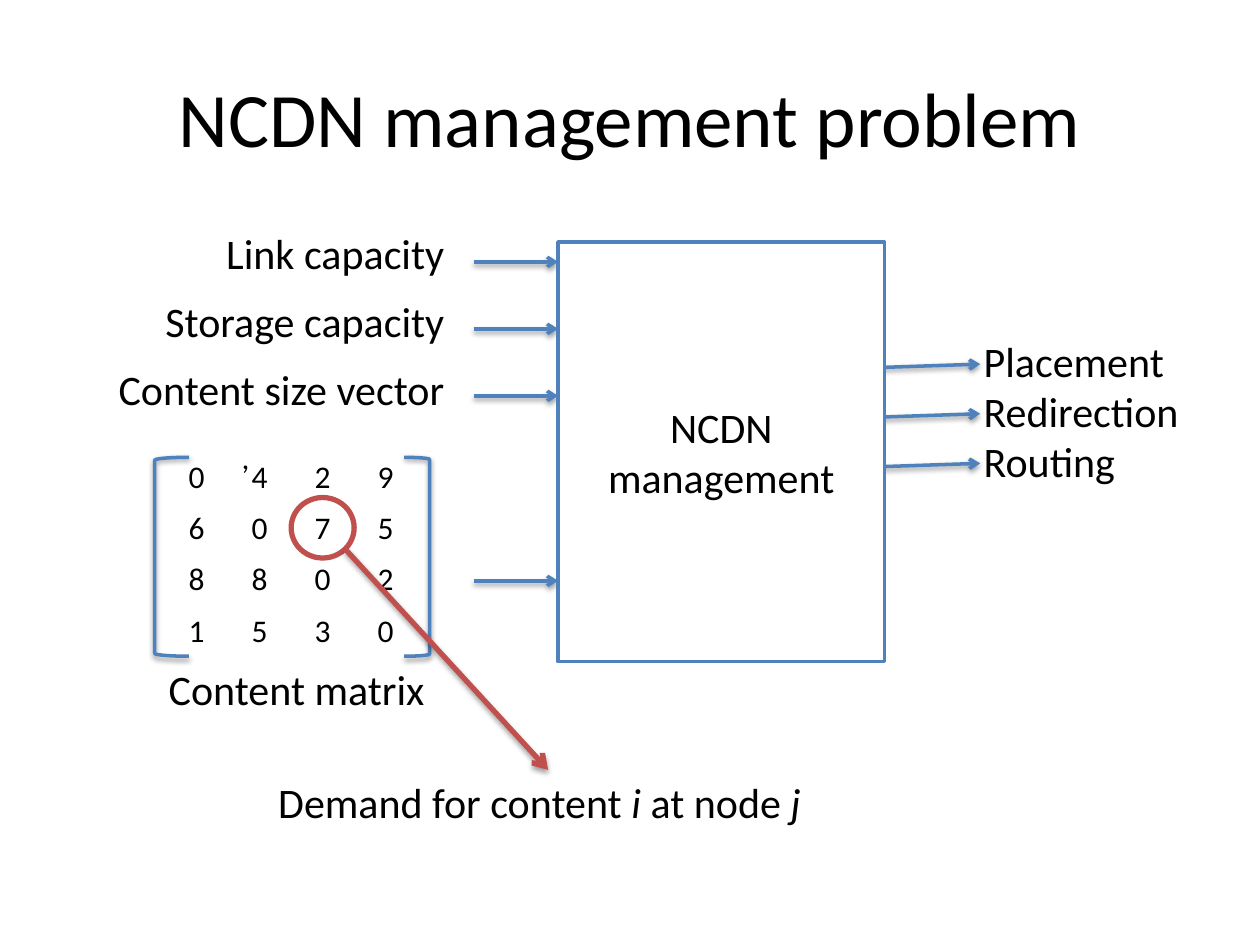
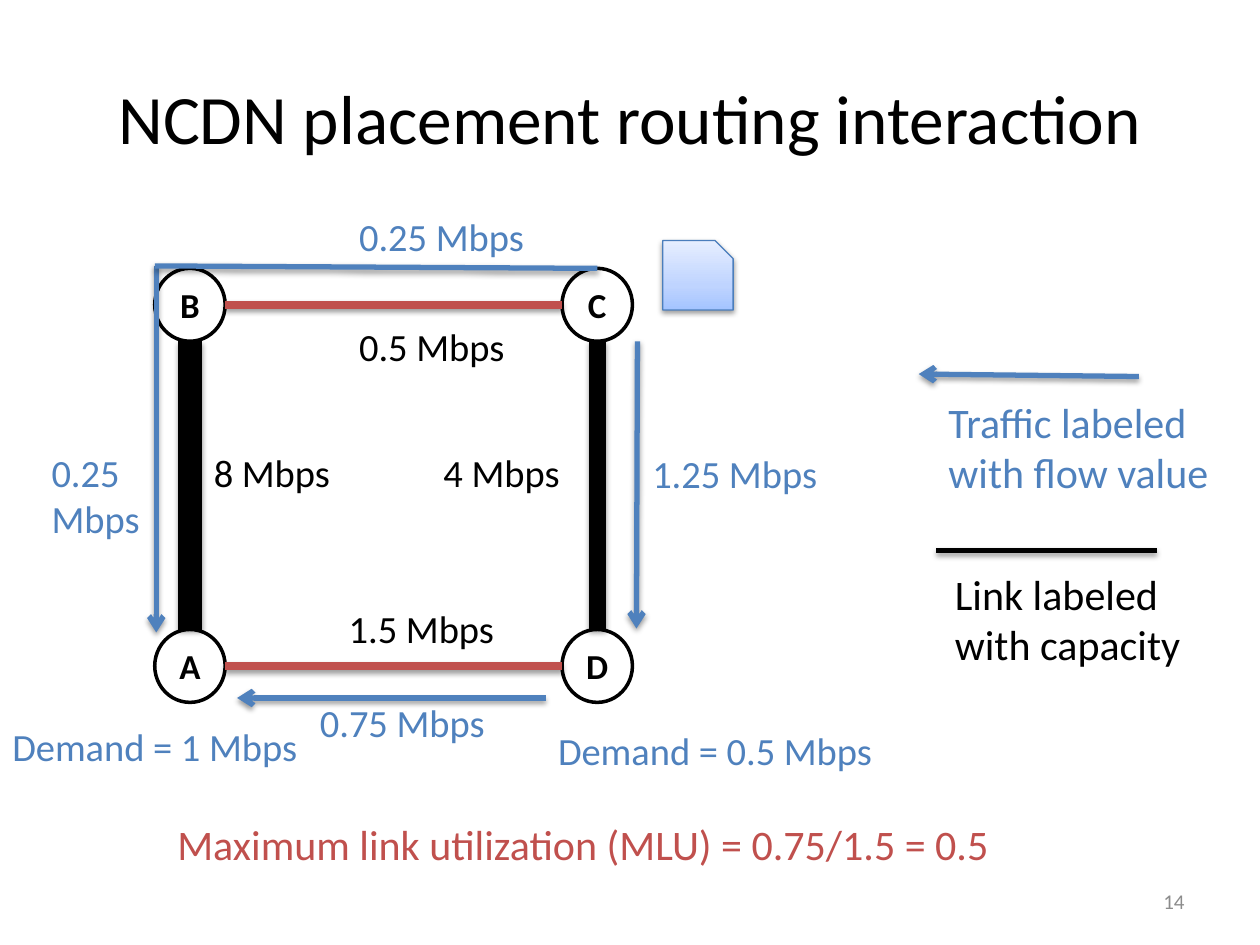
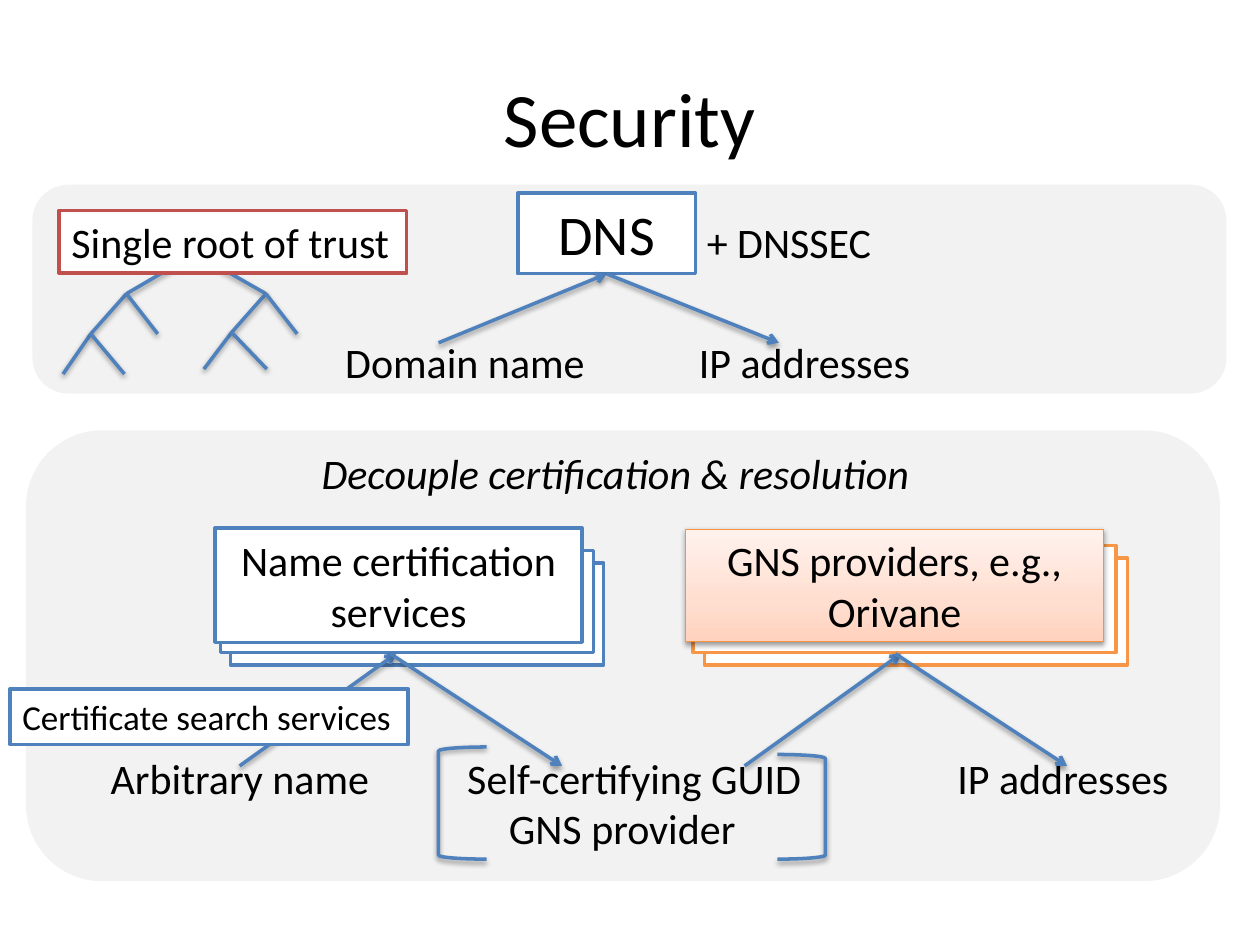
"""Build three slides on NCDN management, routing interaction and security."""
from copy import deepcopy

from lxml import etree
from pptx import Presentation
from pptx.dml.color import RGBColor
from pptx.enum.shapes import MSO_CONNECTOR, MSO_SHAPE
from pptx.enum.text import MSO_ANCHOR, PP_ALIGN
from pptx.oxml.ns import qn
from pptx.util import Cm, Pt

LEFT, CENTER, RIGHT = PP_ALIGN.LEFT, PP_ALIGN.CENTER, PP_ALIGN.RIGHT
TOP, MIDDLE = MSO_ANCHOR.TOP, MSO_ANCHOR.MIDDLE
RECTANGLE, ROUNDED, OVAL = MSO_SHAPE.RECTANGLE, MSO_SHAPE.ROUNDED_RECTANGLE, MSO_SHAPE.OVAL
LEFT_BRACKET, RIGHT_BRACKET = MSO_SHAPE.LEFT_BRACKET, MSO_SHAPE.RIGHT_BRACKET
SNIPPED = MSO_SHAPE.SNIP_1_RECTANGLE
STRAIGHT = MSO_CONNECTOR.STRAIGHT

FONT = "Calibri"
BLACK, WHITE, GREY, PANEL = "000000", "FFFFFF", "8C8C8C", "F2F2F2"
BLUE, RED, ORANGE = "4F81BD", "C0504D", "F79646"
BLUE_FADE = ((0, "A4C4FF"), (0.35, "BFD4FF"), (1, "E6EEFF"))
ORANGE_FADE = ((0, "FFD2BD"), (0.35, "FFDED0"), (1, "FFF2ED"))
TITLE_BOX = (1.27, 0.76, 22.86, 3.18)
LINE_HEIGHT = 1.27

DEMANDS = ((0, 4, 2, 9), (6, 0, 7, 5), (8, 8, 0, 2), (1, 5, 3, 0))
INPUTS = (("Link capacity", 5.72), ("Storage capacity", 6.86), ("Content size vector", 7.98))
INPUT_ARROWS = (5.28, 6.63, 7.98, 11.71)
OUTPUTS = ("Placement", "Redirection", "Routing")

NODES = {"B": (3.12, 5.41), "C": (11.33, 5.41), "A": (3.12, 12.69), "D": (11.33, 12.69)}
NODE_WIDTH, NODE_HEIGHT = 1.42, 1.47
LINKS = (("B", "C", RED, 4.5), ("A", "D", RED, 4.5), ("B", "A", BLACK, 14), ("C", "D", BLACK, 10))
TRAFFIC = (
    ((3.15, 5.36), (3.15, 12.75), True),
    ((12.85, 6.88), (12.83, 12.67), True),
    ((12.04, 5.41), (3.12, 5.36), False),
    ((11, 14.07), (4.78, 14.07), True),
    ((22.96, 7.59), (18.52, 7.54), True),
)
NETWORK_LABELS = (
    ("8 Mbps", (4.06, 8.92, 3.56), 22, BLACK),
    ("0.5 Mbps", (6.99, 6.38, 3.56), 22, BLACK),
    ("1.5 Mbps", (6.78, 12.07, 3.56), 22, BLACK),
    ("4 Mbps", (8.69, 8.92, 3.05), 22, BLACK),
    ("Demand = 1 Mbps", (0, 14.45, 7.62), 22, BLUE),
    ("Demand = 0.5 Mbps", (11, 14.53, 8.69), 22, BLUE),
    ("1.25 Mbps", (12.9, 8.94, 3.89), 22, BLUE),
    ("0.25 Mbps", (0.79, 8.92, 3.2), 22, BLUE),
    ("0.25 Mbps", (6.99, 4.17, 4.34), 22, BLUE),
    ("0.75 Mbps", (6.2, 13.97, 4.34), 22, BLUE),
    ("Traffic labeled with flow value", (18.87, 7.87, 6.1), 24, BLUE),
    ("Link labeled with capacity", (19, 11.33, 5.97), 24, BLACK),
)

PANELS = ((0.56, 8.71, 24, 9.02), (0.69, 3.76, 24, 4.14))
TREE = (
    ((3.94, 5.11), ((2.55, 5.92), (5.36, 5.92))),
    ((2.55, 5.92), ((1.83, 6.73), (3.18, 6.73))),
    ((5.36, 5.92), ((4.67, 6.7), (5.99, 6.73))),
    ((1.83, 6.73), ((1.27, 7.54), (2.51, 7.54))),
    ((4.67, 6.7), ((4.11, 7.44), (5.38, 7.44))),
)
SECURITY_LABELS = (
    ("Domain name", (6.71, 6.65, 5.4)),
    ("IP addresses", (13.84, 6.65, 4.9)),
    ("Arbitrary name", (1.98, 15.04, 5.8)),
    ("IP addresses", (19.05, 15.04, 4.9)),
    ("Self-certifying GUID", (9.17, 15.04, 7.34)),
    ("GNS provider", (10.01, 16.05, 5.13)),
    ("+ DNSSEC", (14, 4.24, 3.86)),
)
BACK_CARDS = (
    ((4.65, 11.35, 7.52, 2.06), BLUE),
    ((4.45, 11.1, 7.52, 2.06), BLUE),
    ((14.2, 11.25, 8.53, 2.16), ORANGE),
    ((13.97, 11, 8.53, 2.16), ORANGE),
)


def rgb(value):
    return RGBColor.from_string(value)


def lengths(values):
    return [Cm(value) for value in values]


def write(frame, text, size=24, color=BLACK, bold=False, italic=False, align=LEFT, anchor=MIDDLE):
    """Fill a text frame; a newline starts a paragraph and asterisks switch italics."""
    frame.word_wrap = True
    frame.vertical_anchor = anchor
    for index, line in enumerate(text.split("\n")):
        paragraph = frame.add_paragraph() if index else frame.paragraphs[0]
        paragraph.alignment = align
        for position, part in enumerate(line.split("*")):
            if part:
                run = paragraph.add_run()
                run.text = part
                run.font.name = FONT
                run.font.size = Pt(size)
                run.font.bold = bold
                run.font.italic = italic or position % 2 == 1
                run.font.color.rgb = rgb(color)


def add_text(slide, text, box, anchor=TOP, **text_format):
    left, top, width, height = (*box, LINE_HEIGHT)[:4]
    shape = slide.shapes.add_textbox(*lengths((left, top, width, height)))
    write(shape.text_frame, text, anchor=anchor, **text_format)


def add_shadow(effects):
    shadow = etree.SubElement(effects, qn("a:outerShdw"), blurRad=str(Pt(3.1)),
                              dist=str(Pt(1.6)), dir="5400000", rotWithShape="0")
    color = etree.SubElement(shadow, qn("a:srgbClr"), val=BLACK)
    etree.SubElement(color, qn("a:alpha"), val="38000")


def fade(shape, colors):
    shape.fill.gradient()
    shape.fill.gradient_angle = 90
    stops = shape._element.spPr.find(".//" + qn("a:gsLst"))
    stops.append(deepcopy(stops[-1]))
    for stop, (position, color) in zip(shape.fill.gradient_stops, colors):
        stop.position = position
        stop.color.rgb = rgb(color)


def add_shape(slide, kind, box, fill=None, line=None, weight=2, shadow=False, text="", **text_format):
    shape = slide.shapes.add_shape(kind, *lengths(box))
    if fill is None:
        shape.fill.background()
    elif isinstance(fill, tuple):
        fade(shape, fill)
    else:
        shape.fill.solid()
        shape.fill.fore_color.rgb = rgb(fill)
    if line:
        shape.line.color.rgb = rgb(line)
        shape.line.width = Pt(weight)
    else:
        shape.line.fill.background()
    shape.shadow.inherit = False
    if shadow:
        add_shadow(shape._element.spPr.find(qn("a:effectLst")))
    if text:
        write(shape.text_frame, text, **{"align": CENTER, **text_format})
    return shape


def add_line(slide, start, end, color=BLUE, weight=2, arrow=True):
    line = slide.shapes.add_connector(STRAIGHT, *lengths((*start, *end)))
    line.line.color.rgb = rgb(color)
    line.line.width = Pt(weight)
    properties = line._element.spPr
    if arrow:
        etree.SubElement(properties.find(qn("a:ln")), qn("a:tailEnd"), type="arrow")
    add_shadow(etree.SubElement(properties, qn("a:effectLst")))
    return line


def add_brackets(slide, left_box, right_box):
    for kind, box in ((LEFT_BRACKET, left_box), (RIGHT_BRACKET, right_box)):
        add_shape(slide, kind, box, line=BLUE, shadow=True)


def add_slide(presentation, title, size=44):
    slide = presentation.slides.add_slide(presentation.slide_layouts[6])
    add_text(slide, title, TITLE_BOX, size=size, align=CENTER, anchor=MIDDLE)
    return slide


def add_matrix(slide):
    frame = slide.shapes.add_table(4, 4, *lengths((3.33, 9.12, 5.08, 4.12)))
    table = frame.table
    table.first_row = table.horz_banding = False
    for row, values in enumerate(DEMANDS):
        for column, value in enumerate(values):
            cell = table.cell(row, column)
            cell.fill.background()
            write(cell.text_frame, str(value), size=18, align=CENTER, anchor=TOP)


def build_management(presentation):
    slide = add_slide(presentation, "NCDN management problem")
    add_matrix(slide)
    add_brackets(slide, (3.12, 9.22, 0.69, 4.01), (8.15, 9.22, 0.51, 4.01))
    add_text(slide, "Content matrix", (3.15, 13.26, 5.74))
    add_text(slide, ",", (4.62, 8.71, 0.66, 1.02), size=18)
    add_text(slide, "\n".join(OUTPUTS), (19.58, 6.63, 4.52, 3.33))
    for index in range(len(OUTPUTS)):
        add_line(slide, (16.79, 7.44 + index), (19.76, 7.34 + index))
    for index, (label, width) in enumerate(INPUTS):
        box = (9.27 - width, 4.47 + 1.37 * index, width, 1.25)
        add_shape(slide, ROUNDED, box, fill=WHITE, text=label, align=RIGHT)
    for height in INPUT_ARROWS:
        add_line(slide, (9.55, height), (11.25, height))
    add_shape(slide, RECTANGLE, (11.25, 4.88, 6.58, 8.46), fill=WHITE, line=BLUE,
              text="NCDN\nmanagement")
    add_shape(slide, OVAL, (5.87, 10.03, 1.27, 1.22), line=RED, weight=3)
    add_line(slide, (6.96, 11.07), (11.05, 15.52), color=RED, weight=3)
    add_text(slide, "Demand for content *i* at node *j*", (5.36, 15.52, 11.38))


def build_routing(presentation):
    slide = add_slide(presentation, "NCDN placement routing interaction", size=39.6)
    for name, corner in NODES.items():
        add_shape(slide, OVAL, (*corner, NODE_WIDTH, NODE_HEIGHT), fill=WHITE, line=BLACK,
                  text=name, size=20, bold=True)
    for first, second, color, weight in LINKS:
        (left, top), (right, bottom) = NODES[first], NODES[second]
        if top == bottom:
            middle = top + NODE_HEIGHT / 2
            start, end = (left + NODE_WIDTH, middle), (right, middle)
        else:
            middle = left + NODE_WIDTH / 2
            start, end = (middle, top + NODE_HEIGHT), (middle, bottom)
        add_line(slide, start, end, color=color, weight=weight, arrow=False)
    for start, end, arrow in TRAFFIC:
        add_line(slide, start, end, weight=3, arrow=arrow)
    add_line(slide, (23.32, 11.1), (18.87, 11.1), color=BLACK, weight=3, arrow=False)
    content = add_shape(slide, SNIPPED, (13.36, 4.85, 1.42, 1.4), fill=BLUE_FADE,
                        line="4B7EBC", weight=0.75, shadow=True)
    content.adjustments[0] = 0.26
    for label, box, size, color in NETWORK_LABELS:
        add_text(slide, label, box, size=size, color=color)
    add_text(slide, "Maximum link utilization (MLU) = 0.75/1.5 = 0.5", (2.79, 16.38, 17.93),
             color=RED, align=CENTER)
    add_text(slide, "14", (18.21, 17.65, 5.92, 1.02), size=12, color=GREY, align=RIGHT, anchor=MIDDLE)


def build_security(presentation):
    slide = add_slide(presentation, "Security")
    title = slide.shapes[0]
    for box in PANELS:
        add_shape(slide, ROUNDED, box, fill=PANEL, line=PANEL)
    slide.shapes._spTree.append(title._element)
    for label, box in SECURITY_LABELS:
        add_text(slide, label, box)
    dns = add_shape(slide, RECTANGLE, (10.44, 3.89, 3.58, 1.63), fill=WHITE, line=BLUE,
                    text="DNS", size=32)
    dns_bottom = (12.23, 5.52)
    add_line(slide, (8.84, 6.91), dns_bottom).end_connect(dns, 2)
    add_line(slide, dns_bottom, (15.7, 6.91)).begin_connect(dns, 2)
    for parent, children in TREE:
        for child in children:
            add_line(slide, parent, child, arrow=False)
    add_shape(slide, RECTANGLE, (1.19, 4.24, 7.01, 1.27), fill=WHITE, line=RED,
              text="Single root of trust", align=LEFT)
    for box, color in BACK_CARDS:
        add_shape(slide, RECTANGLE, box, fill=WHITE, line=color)
    add_shape(slide, RECTANGLE, (4.34, 10.64, 7.39, 2.31), fill=WHITE, line=BLUE,
              text="Name certification services")
    add_shape(slide, RECTANGLE, (13.82, 10.67, 8.43, 2.26), fill=ORANGE_FADE, line="F69240",
              weight=0.75, shadow=True, text="GNS providers, e.g., Orivane")
    for offset in (0, 10.18):
        add_line(slide, (4.83 + offset, 15.44), (7.98 + offset, 13.18))
        add_line(slide, (7.87 + offset, 13.18), (11.33 + offset, 15.44))
    add_brackets(slide, (8.84, 15.06, 0.97, 2.26), (15.67, 15.21, 0.97, 2.11))
    add_shape(slide, RECTANGLE, (0.2, 13.89, 8.03, 1.12), fill=WHITE, line=BLUE,
              text="Certificate search services", size=20, align=LEFT)
    add_text(slide, "Decouple certification & resolution", (5.89, 8.89, 13.03),
             italic=True, align=CENTER)


def main():
    presentation = Presentation()
    presentation.slide_width, presentation.slide_height = Cm(25.4), Cm(19.05)
    build_management(presentation)
    build_routing(presentation)
    build_security(presentation)
    presentation.save("out.pptx")


if __name__ == "__main__":
    main()
